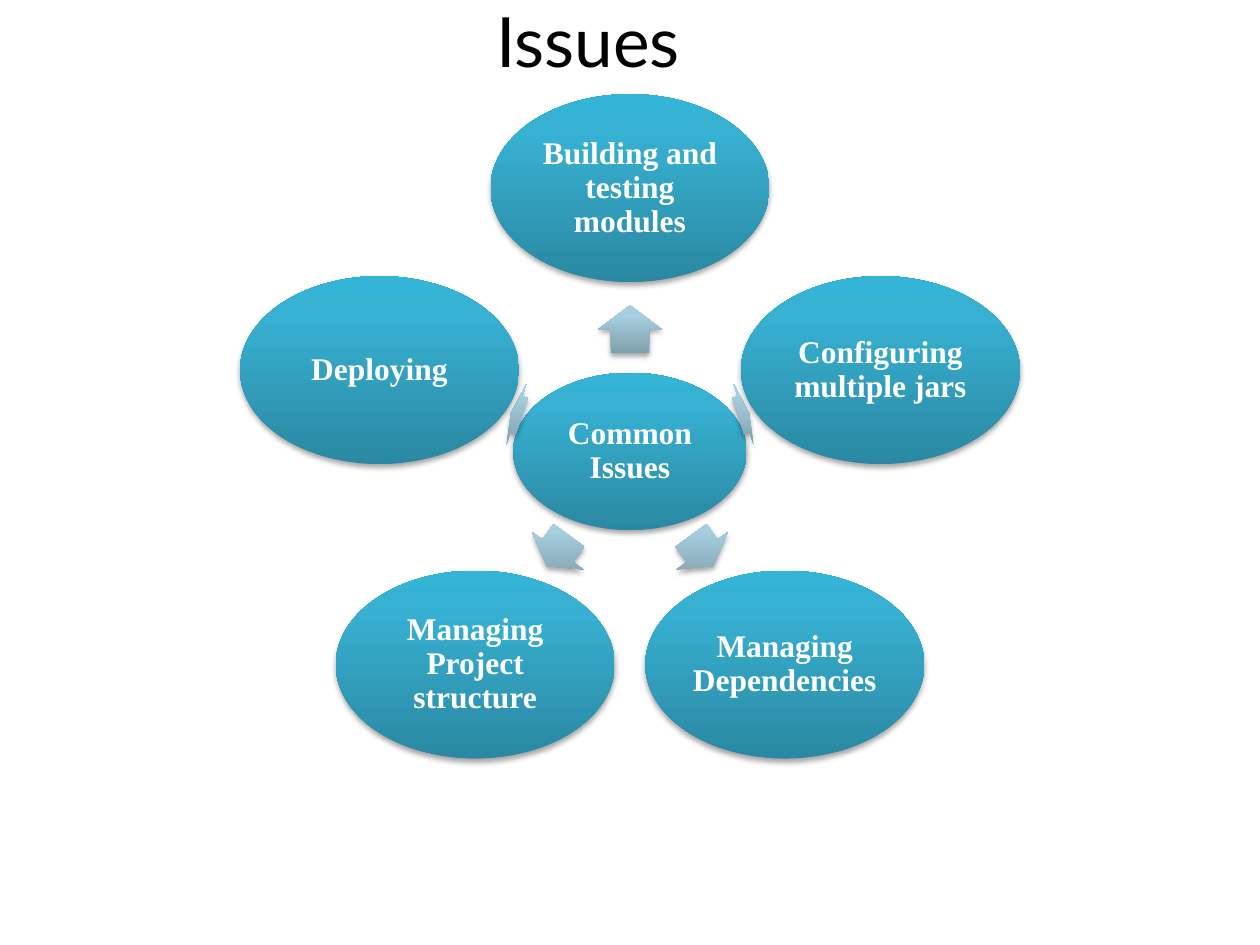
"""Build a slide of five common issues radiating from a central ellipse."""
from math import cos, radians, sin

from lxml import etree
from pptx import Presentation
from pptx.dml.color import RGBColor
from pptx.enum import shapes, text
from pptx.oxml import parse_xml
from pptx.oxml.ns import nsdecls, qn
from pptx.util import Pt

TITLE = "Issues"
HUB = "Common Issues"
ISSUES = [
    ("Building and testing modules", 27.4, 69.8),
    ("Configuring multiple jars", 6.5, 68.3),
    ("Managing Dependencies", 21.6, 70.1),
    ("Managing Project structure", 21.6, 70.1),
    ("Deploying", 6.5, 68.3),
]
THEME = {
    "ellipse": [(0, "2A88A2"), (80, "37B1D2"), (100, "34B4D6")],
    "arrow": [(0, "809FAC"), (80, "A6CFDF"), (100, "A5D0E1")],
    "title": {"font": "Lato", "size": 39.6, "color": "000000"},
    "label": {"font": "Times New Roman", "size": 18, "color": "FFFFFF",
              "bold": True, "spacing": 0.9},
}
CENTER = (360, 258)
ORBIT = 150.5
HUB_SIZE = (133.4, 90)
ISSUE_SIZE = (159.4, 107.4)
ARROW_HEIGHT = 36.6
LABEL_INSET = 2.2


def write(shape, content, font, size, color, bold=False, spacing=1.0, inset=None):
    frame = shape.text_frame
    frame.word_wrap = True
    frame.auto_size = text.MSO_AUTO_SIZE.NONE
    frame.vertical_anchor = text.MSO_ANCHOR.MIDDLE
    if inset is not None:
        frame.margin_left = frame.margin_right = Pt(inset)
        frame.margin_top = frame.margin_bottom = Pt(inset)
    paragraph = frame.paragraphs[0]
    paragraph.alignment = text.PP_ALIGN.CENTER
    paragraph.line_spacing = spacing
    run = paragraph.add_run()
    run.text = content
    run.font.name = font
    run.font.size = Pt(size)
    run.font.bold = bold
    run.font.color.rgb = RGBColor.from_string(color)


def apply_gradient(shape, stops):
    shape.fill.gradient()
    gradient = shape._element.spPr.find(qn("a:gradFill"))
    gradient.set("rotWithShape", "0")
    stop_list = gradient.find(qn("a:gsLst"))
    for stop in list(stop_list):
        stop_list.remove(stop)
    for position, color in stops:
        stop = etree.SubElement(stop_list, qn("a:gs"), pos=str(position * 1000))
        etree.SubElement(stop, qn("a:srgbClr"), val=color)
    gradient.find(qn("a:lin")).set("ang", str(270 * 60000))


def apply_shadow(shape):
    shape._element.spPr.append(parse_xml(
        f'<a:effectLst {nsdecls("a")}><a:outerShdw blurRad="{Pt(3.1)}" '
        f'dist="{Pt(1.8)}" dir="5400000" rotWithShape="0"><a:srgbClr val="000000">'
        '<a:alpha val="35000"/></a:srgbClr></a:outerShdw></a:effectLst>'))


def add_centered(slide, kind, center, size, stops):
    (x, y), (width, height) = center, size
    shape = slide.shapes.add_shape(
        kind, Pt(x - width / 2), Pt(y - height / 2), Pt(width), Pt(height))
    apply_gradient(shape, stops)
    shape.line.fill.background()
    apply_shadow(shape)
    return shape


def add_ellipse(slide, label, center, size):
    ellipse = add_centered(slide, shapes.MSO_SHAPE.OVAL, center, size, THEME["ellipse"])
    write(ellipse, label, inset=LABEL_INSET, **THEME["label"])


def add_arrow(slide, center, length, angle):
    arrow = add_centered(slide, shapes.MSO_SHAPE.RIGHT_ARROW, center,
                         (length, ARROW_HEIGHT), THEME["arrow"])
    arrow.adjustments[0] = 0.6
    arrow.adjustments[1] = 0.5
    arrow.rotation = angle % 360


def on_circle(radius, angle):
    return (CENTER[0] + radius * cos(radians(angle)),
            CENTER[1] + radius * sin(radians(angle)))


def main():
    presentation = Presentation()
    presentation.slide_width, presentation.slide_height = Pt(720), Pt(540)
    slide = presentation.slides.add_slide(presentation.slide_layouts[5])

    title = slide.shapes.title
    title.left, title.top, title.width, title.height = Pt(12), Pt(3.6), Pt(648), Pt(38)
    write(title, TITLE, **THEME["title"])

    add_ellipse(slide, HUB, CENTER, HUB_SIZE)
    for index, (label, arrow_length, arrow_radius) in enumerate(ISSUES):
        angle = -90 + index * 360 / len(ISSUES)
        add_arrow(slide, on_circle(arrow_radius, angle), arrow_length, angle)
        add_ellipse(slide, label, on_circle(ORBIT, angle), ISSUE_SIZE)

    presentation.save("out.pptx")


if __name__ == "__main__":
    main()
